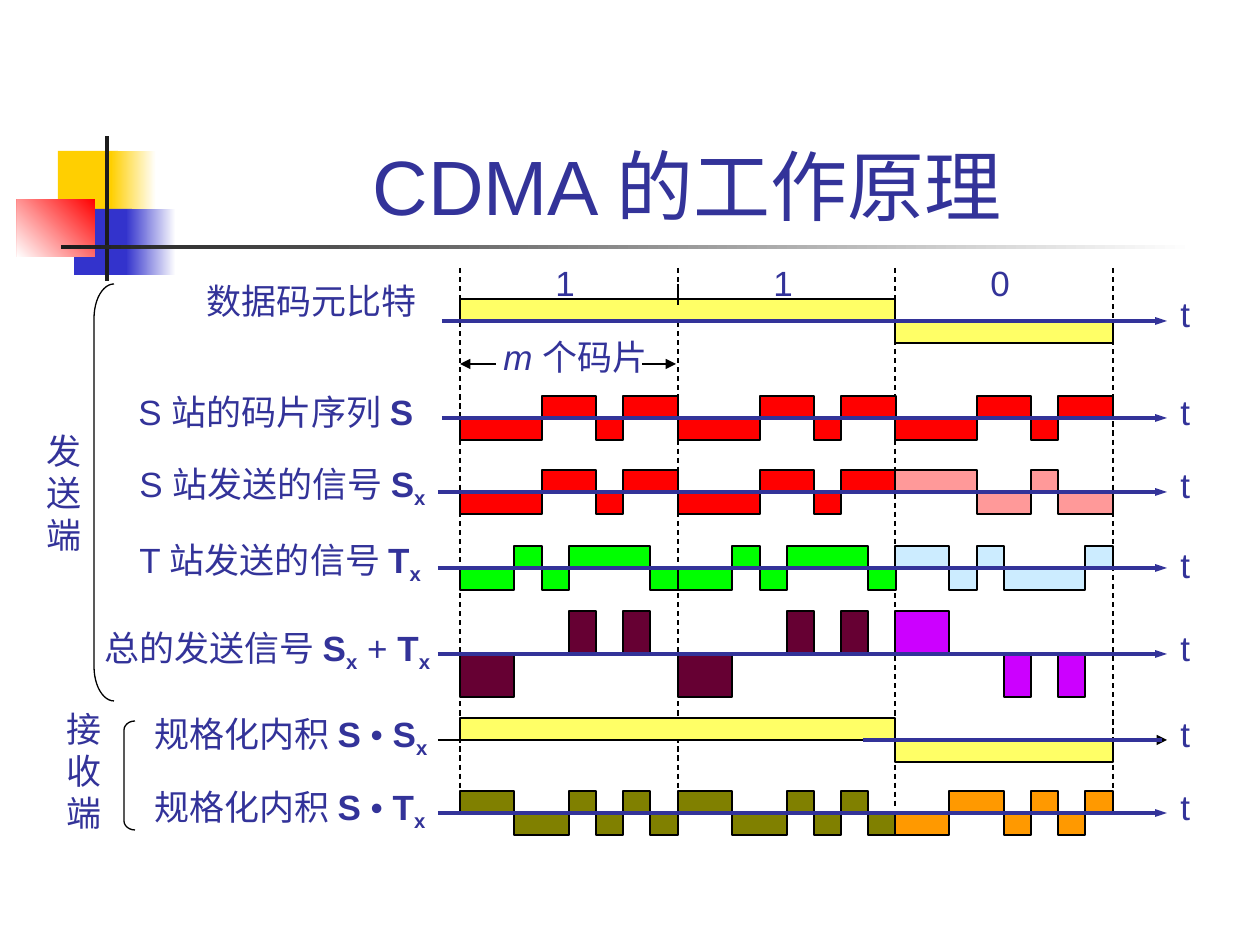
from dataclasses import dataclass
from itertools import groupby

from lxml import etree
from pptx import Presentation
from pptx import util as u
from pptx.dml.color import RGBColor
from pptx.enum import dml, shapes, text
from pptx.oxml import ns

PX = 914400 / 126
LEFT, BIT = 460, 217.6
CHIPS = 8
AMPLITUDE = 22
AXIS_END = 1167
FONT = "Arial"

NAVY = RGBColor(0x33, 0x33, 0x99)
BLACK = RGBColor(0x00, 0x00, 0x00)
WHITE = RGBColor(0xFF, 0xFF, 0xFF)
CHARCOAL = RGBColor(0x1C, 0x1C, 0x1C)
GOLD = RGBColor(0xFF, 0xCF, 0x01)
BLUE = RGBColor(0x33, 0x33, 0xCC)
RED = RGBColor(0xFF, 0x00, 0x00)
PINK = RGBColor(0xFF, 0x99, 0x99)
GREEN = RGBColor(0x00, 0xFF, 0x00)
PALE_BLUE = RGBColor(0xCC, 0xEC, 0xFF)
MAROON = RGBColor(0x66, 0x00, 0x33)
VIOLET = RGBColor(0xCC, 0x00, 0xFF)
OLIVE = RGBColor(0x80, 0x80, 0x00)
ORANGE = RGBColor(0xFF, 0x99, 0x00)
YELLOW = RGBColor(0xFF, 0xFF, 0x66)

INVERT = str.maketrans("+-", "-+")


@dataclass
class Signal:
    axis: int
    axis_left: int
    time_top: int
    label_box: tuple
    label: list
    code: str
    one: RGBColor
    zero: RGBColor
    amplitude: int = AMPLITUDE
    zero_inverts: bool = True


SIGNALS = [
    Signal(418, 442, 384, (126, 391, 322, 49), [("S 站的码片序列 ", ""), ("S", "b")],
           "---++-++", RED, RED, zero_inverts=False),
    Signal(492, 438, 457, (127, 456, 332, 60),
           [("S 站发送的信号 ", ""), ("S", "b"), ("x", "bx")],
           "---++-++", RED, PINK),
    Signal(568, 438, 537, (127, 532, 328, 60),
           [("T 站发送的信号 ", ""), ("T", "b"), ("x", "bx")],
           "--+-+++-", GREEN, PALE_BLUE),
    Signal(654, 438, 620, (92, 620, 363, 60),
           [("总的发送信号 ", ""), ("S", "b"), ("x", "bx"), (" + ", ""), ("T", "b"), ("x", "bx")],
           "--00+0+0", MAROON, VIOLET, amplitude=43),
    Signal(813, 438, 779, (142, 779, 312, 60),
           [("规格化内积 ", ""), ("S ", "b"), ("• ", ""), ("T", "b"), ("x", "bx")],
           "++--+-+-", OLIVE, ORANGE),
]


def px(*lengths):
    return [u.Emu(round(length * PX)) for length in lengths]


def bit_x(index):
    return round(LEFT + BIT * index)


def add_block(slide, box, color, fade_from=None, angle=180):
    block = slide.shapes.add_shape(shapes.MSO_SHAPE.RECTANGLE, *px(*box))
    block.shadow.inherit = False
    block.line.fill.background()
    if fade_from is None:
        block.fill.solid()
        block.fill.fore_color.rgb = color
        return
    block.fill.gradient()
    block.fill.gradient_angle = angle
    for stop, stop_color in zip(block.fill.gradient_stops, (fade_from, color)):
        stop.color.rgb = stop_color


def add_line(slide, start, end, color=BLACK, width=0.75, ends=(), dashed=False, head_width="med"):
    line = slide.shapes.add_connector(shapes.MSO_CONNECTOR.STRAIGHT, *px(*start, *end))
    line.line.color.rgb = color
    line.line.width = u.Pt(width)
    if dashed:
        line.line.dash_style = dml.MSO_LINE.DASH
    outline = line.line._get_or_add_ln()
    for end_tag in ends:
        etree.SubElement(outline, ns.qn(end_tag), type="triangle", w=head_width, len="med")
    etree.SubElement(line._element.spPr, ns.qn("a:effectLst"))


def add_axis(slide, left, y):
    add_line(slide, (left, y), (AXIS_END, y), NAVY, 2.25, ("a:tailEnd",), head_width="sm")


def add_wave(slide, left, axis, levels, step, amplitude, color):
    height = {"+": -amplitude, "-": amplitude, "0": 0}
    points, position = [], 0
    for level, run in groupby(levels):
        following = position + len(list(run))
        y = axis + height[level]
        points += [(left + position * step, y), (left + following * step, y)]
        position = following
    points.append((left + position * step, axis))
    builder = slide.shapes.build_freeform(left, axis, scale=PX)
    builder.add_line_segments(points, close=False)
    wave = builder.convert_to_shape()
    wave.shadow.inherit = False
    wave.fill.solid()
    wave.fill.fore_color.rgb = color
    wave.line.color.rgb = BLACK
    wave.line.width = u.Pt(1.5)


def add_text(slide, box, *lines, size=20, wrap=False, spacing=None,
             align=text.PP_ALIGN.LEFT, anchor=text.MSO_ANCHOR.TOP):
    frame = slide.shapes.add_textbox(*px(*box)).text_frame
    frame.word_wrap = wrap
    frame.auto_size = text.MSO_AUTO_SIZE.NONE if wrap else text.MSO_AUTO_SIZE.SHAPE_TO_FIT_TEXT
    frame.vertical_anchor = anchor
    for index, pieces in enumerate(lines):
        paragraph = frame.add_paragraph() if index else frame.paragraphs[0]
        paragraph.alignment = align
        paragraph.line_spacing = spacing
        for words, style in pieces:
            run = paragraph.add_run()
            run.text = words
            run.font.name = FONT
            run.font.size = u.Pt(size)
            run.font.color.rgb = NAVY
            run.font.bold = "b" in style
            run.font.italic = "i" in style
            if "x" in style:
                run._r.get_or_add_rPr().set("baseline", "-25000")


def add_time_label(slide, top):
    add_text(slide, (1168, top, 34, 55), [("t", "")])


def add_bracket(slide, box, curve):
    bracket = slide.shapes.add_shape(shapes.MSO_SHAPE.LEFT_BRACKET, *px(*box))
    bracket.adjustments[0] = curve
    bracket.shadow.inherit = False
    bracket.fill.background()
    bracket.line.color.rgb = BLACK
    bracket.line.width = u.Pt(0.75)


def add_heading(slide):
    add_block(slide, (58, 151, 60, 66), GOLD)
    add_block(slide, (111, 151, 45, 66), GOLD, WHITE)
    add_block(slide, (74, 209, 58, 66), BLUE)
    add_block(slide, (126, 209, 50, 66), BLUE, WHITE)
    add_block(slide, (17, 199, 78, 58), WHITE, RED, 225)
    add_block(slide, (105, 136, 4, 145), CHARCOAL)
    add_block(slide, (61, 245, 1134, 4), CHARCOAL, WHITE)
    add_text(slide, (159, 35, 1074, 202), [("CDMA 的工作原理 ", "")], size=44, wrap=True,
             align=text.PP_ALIGN.CENTER, anchor=text.MSO_ANCHOR.BOTTOM)


def add_data_bits(slide):
    add_wave(slide, LEFT, 321, "++-", BIT, AMPLITUDE, YELLOW)
    add_line(slide, (bit_x(1), 284), (bit_x(1), 305))
    add_axis(slide, 442, 321)
    add_time_label(slide, 286)
    add_text(slide, (194, 273, 236, 55), [("数据码元比特", "")])
    for index, bit in enumerate("110"):
        add_text(slide, (bit_x(index) + 83, 255, 44, 55), [(bit, "")])


def add_chip_span(slide):
    add_line(slide, (LEFT, 364), (676, 364), ends=("a:headEnd", "a:tailEnd"))
    add_block(slide, (496, 343, 146, 38), WHITE)
    add_text(slide, (491, 329, 178, 55), [("m ", "i"), ("个码片", "")])


def add_signal(slide, signal):
    zero_code = signal.code.translate(INVERT) if signal.zero_inverts else signal.code
    bits = [(signal.code, signal.one)] * 2 + [(zero_code, signal.zero)]
    for index, (code, color) in enumerate(bits):
        add_wave(slide, bit_x(index), signal.axis, code, BIT / CHIPS, signal.amplitude, color)
    add_axis(slide, signal.axis_left, signal.axis)
    add_time_label(slide, signal.time_top)
    spacing = 0.85 if signal is SIGNALS[0] else None
    add_text(slide, signal.label_box, signal.label, spacing=spacing)


def add_recovered_bits(slide):
    add_wave(slide, LEFT, 740, "++-", BIT, AMPLITUDE, YELLOW)
    add_line(slide, (438, 740), (AXIS_END, 740), ends=("a:tailEnd",))
    add_line(slide, (863, 740), (1162, 740), NAVY, 2.25)
    add_time_label(slide, 706)
    add_text(slide, (142, 706, 314, 60),
             [("规格化内积 ", ""), ("S ", "b"), ("• ", ""), ("S", "b"), ("x", "bx")])


def add_ends(slide):
    add_text(slide, (34, 423, 60, 139), *[[(word, "")] for word in "发送端"])
    add_text(slide, (54, 701, 60, 139), *[[(word, "")] for word in "接收端"])
    add_bracket(slide, (94, 284, 20, 417), 1.72)
    add_bracket(slide, (124, 721, 11, 109), 0.83)


def main():
    deck = Presentation()
    deck.slide_width, deck.slide_height = px(1260, 945)
    slide = deck.slides.add_slide(deck.slide_layouts[6])
    add_heading(slide)
    for index, bottom in enumerate((791, 789, 809, 790)):
        add_line(slide, (bit_x(index), 268), (bit_x(index), bottom), dashed=True)
    add_data_bits(slide)
    add_chip_span(slide)
    for signal in SIGNALS:
        add_signal(slide, signal)
    add_recovered_bits(slide)
    add_ends(slide)
    deck.save("out.pptx")


if __name__ == "__main__":
    main()
